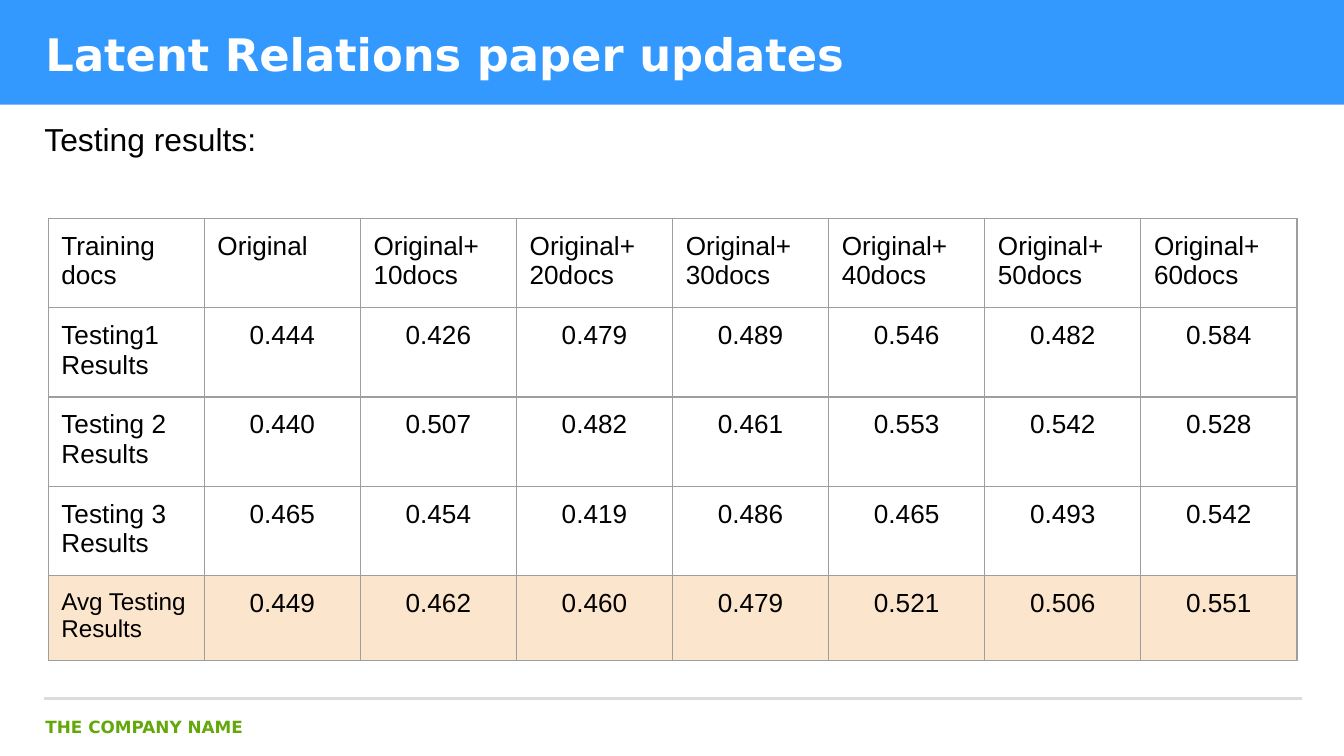
from lxml.etree import SubElement
from pptx import Presentation
from pptx.dml.color import RGBColor
from pptx.enum.shapes import MSO_CONNECTOR, MSO_SHAPE
from pptx.enum.text import PP_ALIGN
from pptx.oxml.ns import qn
from pptx.util import Cm, Pt

HEADER = ["Training docs", "Original", "Original+ 10docs"] + [
    f"Original+\n{n}docs" for n in range(20, 70, 10)]
RESULTS = [
    ("Testing1 Results", "0.444 0.426 0.479 0.489 0.546 0.482 0.584"),
    ("Testing 2\nResults", "0.440 0.507 0.482 0.461 0.553 0.542 0.528"),
    ("Testing 3\nResults", "0.465 0.454 0.419 0.486 0.465 0.493 0.542"),
    ("Avg Testing Results", "0.449 0.462 0.460 0.479 0.521 0.506 0.551"),
]
ROWS = [HEADER] + [[label, *values.split()] for label, values in RESULTS]
ROW_HEIGHTS = [1.66, 1.62, 1.62, 1.62, 1.57]


def color(value):
    return RGBColor.from_string(value)


def write(tf, text, size=14, font="Arial", fill="000000", bold=False,
          align=PP_ALIGN.LEFT):
    """Fill a text frame, one paragraph for each line of text."""
    for i, line in enumerate(text.split("\n")):
        p = tf.add_paragraph() if i else tf.paragraphs[0]
        p.alignment = align
        r = p.add_run()
        r.text = line
        r.font.size = Pt(size)
        r.font.name = font
        r.font.bold = bold
        r.font.color.rgb = color(fill)


def set_borders(cell, line_color, width):
    tc_pr = cell._tc.get_or_add_tcPr()
    for i, side in enumerate(("lnL", "lnR", "lnT", "lnB")):
        ln = SubElement(tc_pr, qn(f"a:{side}"), w=str(Pt(width)))
        tc_pr.insert(i, ln)  # borders come before the fill
        solid = SubElement(ln, qn("a:solidFill"))
        SubElement(solid, qn("a:srgbClr"), val=line_color)


class Deck:
    blue, green = "3399FF", "64A70B"
    rule, grid, highlight = "DCDCDE", "9E9E9E", "FCE5CD"
    heading_font = "DejaVu Sans"

    def __init__(self, slide):
        self.s = slide

    def band(self, x, y, w, h):
        sp = self.s.shapes.add_shape(
            MSO_SHAPE.RECTANGLE, Cm(x), Cm(y), Cm(w), Cm(h))
        sp.shadow.inherit = False
        sp.fill.solid()
        sp.fill.fore_color.rgb = color(self.blue)
        sp.line.fill.background()

    def text(self, x, y, w, h, text, **style):
        tf = self.s.shapes.add_textbox(Cm(x), Cm(y), Cm(w), Cm(h)).text_frame
        tf.word_wrap = True
        tf.margin_left = tf.margin_right = tf.margin_bottom = 0
        tf.margin_top = Cm(0.04)
        write(tf, text, **style)

    def line(self, x1, x2, y):
        cxn = self.s.shapes.add_connector(
            MSO_CONNECTOR.STRAIGHT, Cm(x1), Cm(y), Cm(x2), Cm(y))
        cxn.line.color.rgb = color(self.rule)
        cxn.line.width = Pt(1.5)
        SubElement(cxn._element.spPr, qn("a:effectLst"))

    def table(self, x, y, rows, col_width, row_heights):
        """Add a grid whose last row is highlighted."""
        table = self.s.shapes.add_table(
            len(rows), len(rows[0]), Cm(x), Cm(y),
            Cm(col_width * len(rows[0])), Cm(sum(row_heights))).table
        table.first_row = table.horz_banding = False
        for column in table.columns:
            column.width = Cm(col_width)
        last = len(rows) - 1
        for i, row in enumerate(rows):
            table.rows[i].height = Cm(row_heights[i])
            for j, text in enumerate(row):
                cell = table.cell(i, j)
                cell.margin_left = cell.margin_right = Cm(0.25)
                cell.margin_top = cell.margin_bottom = Cm(0.25)
                if i == last:
                    cell.fill.solid()
                    cell.fill.fore_color.rgb = color(self.highlight)
                else:
                    cell.fill.background()
                set_borders(cell, self.grid, 0.75)
                write(cell.text_frame, text,
                      size=13 if i == last and j == 0 else 14,
                      align=PP_ALIGN.CENTER if i and j else PP_ALIGN.LEFT)


def main():
    prs = Presentation()
    prs.slide_width, prs.slide_height = Cm(25.4), Cm(14.29)
    deck = Deck(prs.slides.add_slide(prs.slide_layouts[6]))
    deck.text(0.84, 2.22, 22.6, 1.68, "Testing results:", size=17)
    deck.band(0, 0, 25.4, 1.98)
    deck.text(0.86, 0.46, 15.4, 1.27, "Latent Relations paper updates",
              size=24, font=deck.heading_font, fill="FFFFFF", bold=True)
    deck.line(0.84, 24.6, 13.21)
    deck.text(0.86, 13.51, 7.44, 0.48, "THE COMPANY NAME",
              size=9, font=deck.heading_font, fill=deck.green, bold=True)
    deck.table(0.91, 4.13, ROWS, 2.95, ROW_HEIGHTS)
    prs.save("out.pptx")


if __name__ == "__main__":
    main()
